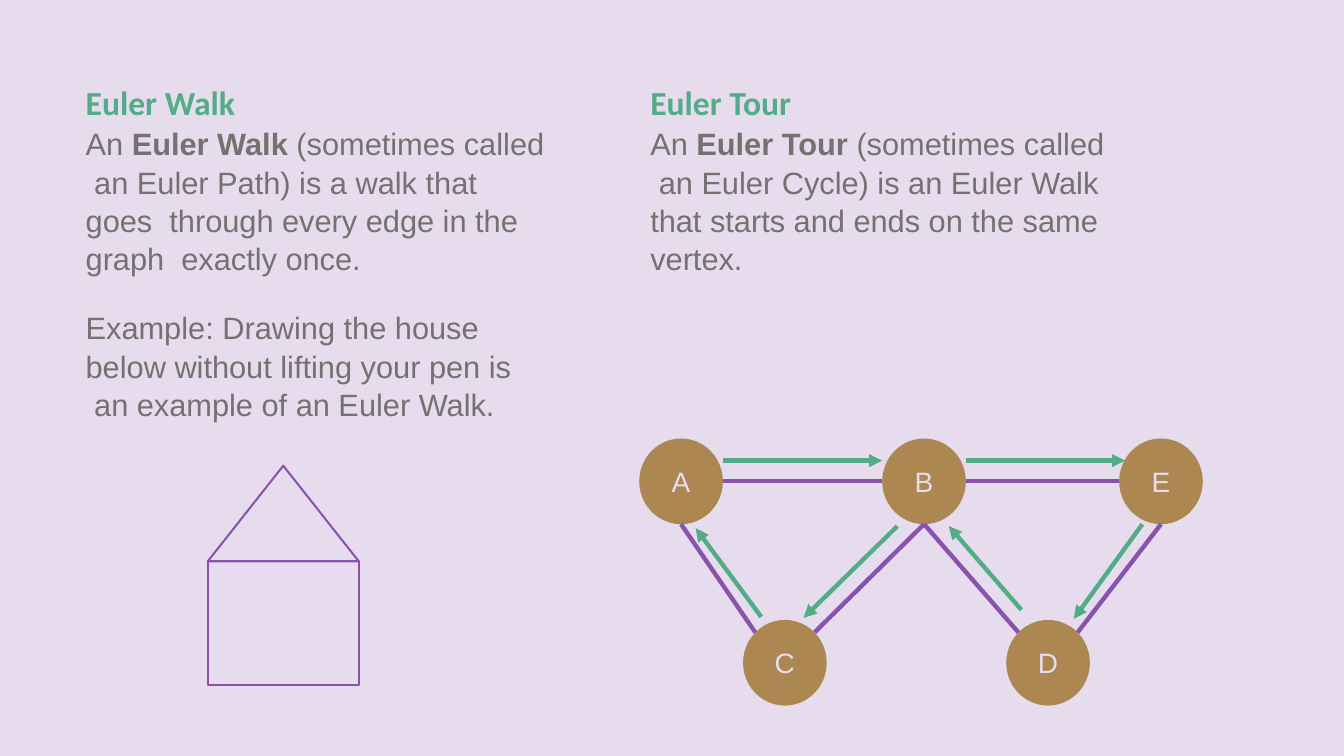
from typing import NamedTuple

from lxml import etree
from pptx import Presentation
from pptx import util as u
from pptx.dml.color import RGBColor
from pptx.enum import shapes, text
from pptx.oxml.ns import qn

HUES = {"back": "E7DCED", "green": "52AC87", "grey": "767070",
        "node": "AC8752", "edge": "8952AC"}
WIDE, HIGH = 0.83, 0.85  # node size
DIAG = 0.5 - 0.125 ** 0.5  # share of the box cut off at an oval's 45° point
SITES = {"left": (0, 0.5), "right": (1, 0.5), "foot": (0.5, 1),
         "nw": (DIAG, DIAG), "ne": (1 - DIAG, DIAG)}


class Node(NamedTuple):
    left: float
    top: float

    def site(self, name: str) -> tuple[float, float]:
        across, down = SITES[name]
        return self.left + across * WIDE, self.top + down * HIGH


class Edge(NamedTuple):
    start: str
    exit: str
    end: str
    entry: str


class Arrow(NamedTuple):
    start: tuple[float, float]
    end: tuple[float, float]


class Part(NamedTuple):
    words: str
    bold: bool = False


class Note(NamedTuple):
    box: tuple[float, float, float, float]
    head: str
    body: list[Part]


WALK = Note((0.85, 0.8, 4.59, 1.91), "Euler Walk", [
    Part("An "), Part("Euler Walk ", True),
    Part("(sometimes called  an Euler Path) is a walk that goes  through "
         "every edge in the graph  exactly once.")])
HOUSE = Note((0.85, 3.04, 4.26, 1.13), "", [
    Part("Example: Drawing the house  below without lifting your pen is  an "
         "example of an Euler Walk.")])
TOUR = Note((6.45, 0.8, 4.54, 1.91), "Euler Tour", [
    Part("An "), Part("Euler Tour ", True),
    Part("(sometimes called  an Euler Cycle) is an Euler Walk  that starts "
         "and ends on the same  vertex.")])

NODES = {"A": Node(6.34, 4.35), "B": Node(8.75, 4.35), "C": Node(7.37, 6.15),
         "D": Node(9.98, 6.15), "E": Node(11.1, 4.35)}
EDGES = [Edge("A", "foot", "C", "nw"), Edge("A", "right", "B", "left"),
         Edge("B", "foot", "C", "ne"), Edge("B", "right", "E", "left"),
         Edge("E", "foot", "D", "ne"), Edge("B", "foot", "D", "nw")]
ARROWS = [Arrow((7.17, 4.57), (8.75, 4.57)), Arrow((9.58, 4.57), (11.16, 4.57)),
          Arrow((11.33, 5.2), (10.65, 6.14)), Arrow((10.13, 6.05), (9.41, 5.22)),
          Arrow((8.9, 5.22), (7.97, 6.13)), Arrow((7.55, 6.12), (6.9, 5.24))]

FRAME = {"word_wrap": True, "auto_size": text.MSO_AUTO_SIZE.NONE,
         "vertical_anchor": text.MSO_ANCHOR.TOP, "margin_left": 0,
         "margin_right": 0, "margin_top": u.Inches(0.01), "margin_bottom": 0}
LABEL = FRAME | {"vertical_anchor": text.MSO_ANCHOR.MIDDLE, "margin_top": 0}
HEAD = {"name": "Calibri", "size": u.Pt(24), "bold": True}
BODY = {"name": "Arial", "size": u.Pt(22)}
LETTER = {"name": "Arial", "size": u.Pt(20), "bold": False}


def apply(target, values: dict) -> None:
    for key, value in values.items():
        setattr(target, key, value)


def hue(name: str) -> RGBColor:
    return RGBColor.from_string(HUES[name])


def write(para, words: str, font: dict, color: str) -> None:
    run = para.add_run()
    run.text = words
    apply(run.font, font)
    run.font.color.rgb = hue(color)


def place(shape, note: Note) -> None:
    """Move a text shape to the note's box and fill in its words."""
    sides = ("left", "top", "width", "height")
    apply(shape, dict(zip(sides, map(u.Inches, note.box))))
    frame = shape.text_frame
    apply(frame, FRAME)
    para = frame.paragraphs[0]
    if note.head:
        apply(para, {"alignment": text.PP_ALIGN.LEFT, "space_before": u.Pt(1)})
        write(para, note.head, HEAD, "green")
        para = frame.add_paragraph()
    apply(para, {"alignment": text.PP_ALIGN.LEFT, "space_before": u.Pt(1),
                 "line_spacing": 1.04})
    for part in note.body:
        write(para, part.words, BODY | {"bold": part.bold}, "grey")


def outline(slide, kind, top: float, high: float) -> None:
    """Draw one hollow piece of the house."""
    shape = slide.shapes.add_shape(
        kind, *map(u.Inches, (2.06, top, 1.5, high)))
    shape.shadow.inherit = False
    shape.fill.background()
    shape.line.color.rgb = hue("edge")
    shape.line.width = u.Pt(1.44)


def draw_node(slide, name: str, node: Node) -> None:
    shape = slide.shapes.add_shape(
        shapes.MSO_SHAPE.OVAL, *map(u.Inches, (*node, WIDE, HIGH)))
    shape.shadow.inherit = False
    shape.fill.solid()
    shape.fill.fore_color.rgb = hue("node")
    shape.line.fill.background()
    apply(shape.text_frame, LABEL)
    para = shape.text_frame.paragraphs[0]
    para.alignment = text.PP_ALIGN.CENTER
    write(para, name, LETTER, "back")


def draw_line(slide, start: tuple[float, float], end: tuple[float, float],
              color: str, tip: bool = False) -> None:
    link = slide.shapes.add_connector(
        shapes.MSO_CONNECTOR.STRAIGHT, *map(u.Inches, (*start, *end)))
    link.line.color.rgb = hue(color)
    link.line.width = u.Pt(3.12)
    if tip:
        etree.SubElement(link.line._get_or_add_ln(), qn("a:tailEnd"),
                         type="triangle")
    etree.SubElement(link._element.spPr, qn("a:effectLst"))


def main() -> None:
    deck = Presentation()
    apply(deck, {"slide_width": u.Inches(13.33), "slide_height": u.Inches(7.5)})
    slide = deck.slides.add_slide(deck.slide_layouts[5])
    slide.background.fill.solid()
    slide.background.fill.fore_color.rgb = hue("back")

    place(slide.shapes.title, WALK)
    for note in (HOUSE, TOUR):
        place(slide.shapes.add_textbox(0, 0, 0, 0), note)
    outline(slide, shapes.MSO_SHAPE.ISOSCELES_TRIANGLE, 4.62, 0.95)
    outline(slide, shapes.MSO_SHAPE.RECTANGLE, 5.57, 1.23)

    for name, node in NODES.items():
        draw_node(slide, name, node)
    for edge in EDGES:
        draw_line(slide, NODES[edge.start].site(edge.exit),
                  NODES[edge.end].site(edge.entry), "edge")
    for arrow in ARROWS:
        draw_line(slide, arrow.start, arrow.end, "green", tip=True)
    deck.save("out.pptx")


if __name__ == "__main__":
    main()
